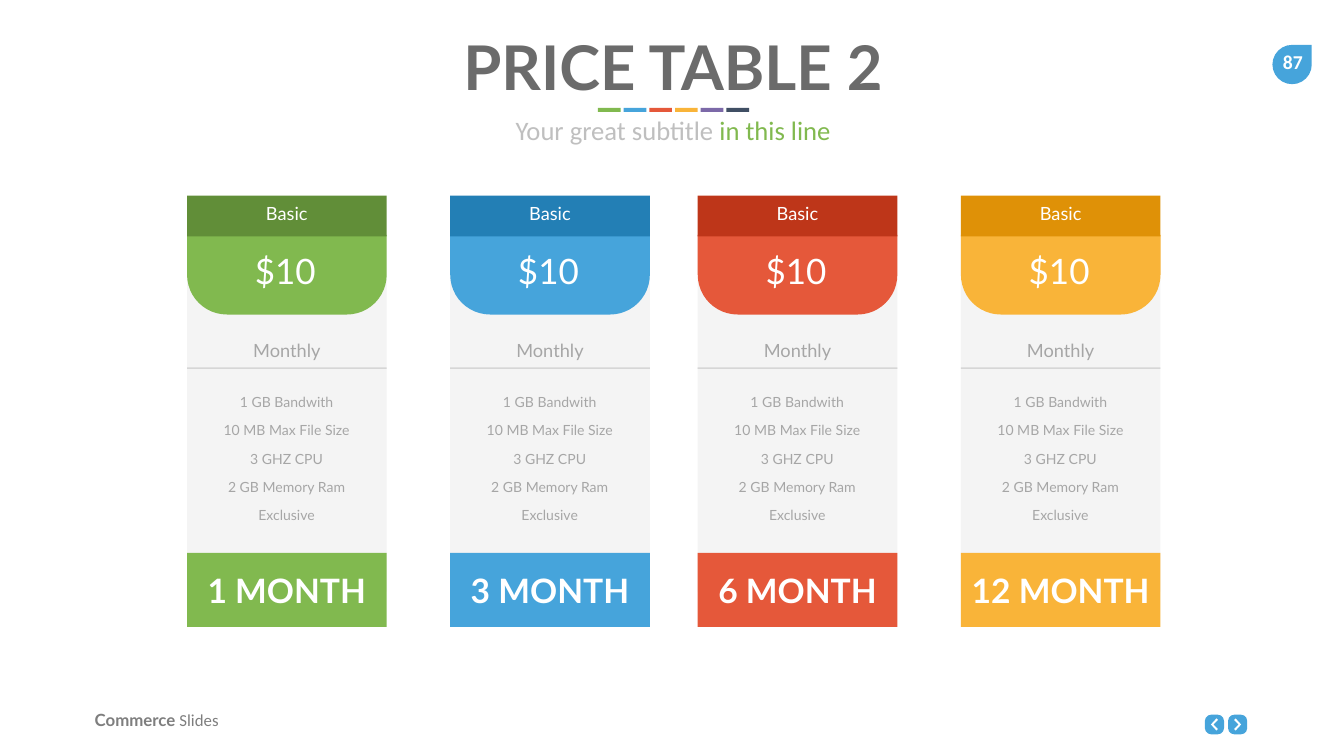
from dataclasses import dataclass

from pptx import Presentation
from pptx import util as u
from pptx.dml.color import RGBColor
from pptx.enum import shapes, text


@dataclass(frozen=True)
class Theme:
    heading_font: str = "Lato"
    body_font: str = "Calibri"
    white: str = "FFFFFF"
    title: str = "6B6B6B"
    subtitle: str = "BFBFBF"
    footer: str = "7E7E7E"
    muted: str = "A6A6A6"
    panel: str = "F4F4F4"
    rule: str = "D6D6D6"
    green: str = "81B94F"
    dark_green: str = "618E38"
    blue: str = "46A4DB"
    dark_blue: str = "237FB5"
    red: str = "E5583A"
    dark_red: str = "BE3619"
    yellow: str = "F9B439"
    dark_yellow: str = "DF9107"
    purple: str = "7C69A8"
    navy: str = "404F64"
    title_size: int = 88
    subtitle_size: int = 38
    price_size: int = 50
    term_size: int = 48
    label_size: int = 26
    feature_size: int = 20
    footer_size: int = 24
    number_size: int = 28


THEME = Theme()
SHAPE = shapes.MSO_SHAPE
FEATURES = ["1 GB Bandwith", "10 MB Max File Size", "3 GHZ CPU", "2 GB Memory Ram", "Exclusive"]
CARD_TOP, CARD_WIDTH, CARD_HEIGHT = 3.88, 3.96, 8.56
PLANS = [
    (3.71, "1 MONTH", THEME.green, THEME.dark_green),
    (8.93, "3 MONTH", THEME.blue, THEME.dark_blue),
    (13.84, "6 MONTH", THEME.red, THEME.dark_red),
    (19.06, "12 MONTH", THEME.yellow, THEME.dark_yellow),
]


def inches(*lengths):
    return [u.Inches(length) for length in lengths]


def paint(shape, color):
    shape.shadow.inherit = False
    shape.fill.solid()
    shape.fill.fore_color.rgb = RGBColor.from_string(color)
    shape.line.fill.background()
    return shape


def add_block(parent, kind, box, color):
    return paint(parent.shapes.add_shape(kind, *inches(*box)), color)


def write(shape, *runs, size, color=THEME.white, font=THEME.heading_font, bold=False,
          align=text.PP_ALIGN.CENTER, anchor=text.MSO_ANCHOR.MIDDLE, inset=(0.05, 0.05), wrap=True):
    frame = shape.text_frame
    frame.auto_size = text.MSO_AUTO_SIZE.NONE
    frame.word_wrap = wrap
    frame.vertical_anchor = anchor
    frame.margin_left = frame.margin_right = u.Inches(inset[0])
    frame.margin_top = frame.margin_bottom = u.Inches(inset[1])
    paragraph = frame.paragraphs[0]
    paragraph.alignment = align
    paragraph.space_before = u.Pt(0)
    for content, changes in runs:
        run = paragraph.add_run()
        run.text = content
        run.font.size = u.Pt(size)
        run.font.name = changes.get("font", font)
        run.font.bold = changes.get("bold", bold)
        run.font.color.rgb = RGBColor.from_string(changes.get("color", color))


def add_label(parent, box, content, **style):
    write(parent.shapes.add_textbox(*inches(*box)), (content, {}), **style)


def place(shape, box):
    shape.left, shape.top, shape.width, shape.height = inches(*box)
    return shape


def build_heading(slide, left, top, width):
    top_style = dict(anchor=text.MSO_ANCHOR.TOP, inset=(0.1, 0.05))
    write(place(slide.shapes.title, (left, top, width, 1.58)), ("PRICE TABLE 2", {}),
          size=THEME.title_size, color=THEME.title, bold=True, **top_style)
    accents = [THEME.green, THEME.blue, THEME.red, THEME.yellow, THEME.purple, THEME.navy]
    for index, color in enumerate(accents):
        add_block(slide, SHAPE.RECTANGLE, (left + 9.96 + 0.51 * index, top + 1.61, 0.45, 0.08), color)
    write(place(slide.placeholders[1], (left, top + 1.67, width, 0.74)),
          ("Your great subtitle ", {}), ("in this line", {"color": THEME.green}),
          size=THEME.subtitle_size, color=THEME.subtitle, font=THEME.body_font, **top_style)


def build_card(slide, left, top, width, height, term, color, dark_color):
    card = slide.shapes.add_group_shape()
    term_height = 1.47
    term_top = top + height - term_height
    add_block(card, SHAPE.RECTANGLE, (left, top + 0.79, width, 7.07), THEME.panel)
    price = add_block(card, SHAPE.ROUND_2_SAME_RECTANGLE, (left, top + 0.78, width, 1.58), color)
    price.adjustments[0] = 0.5
    price.adjustments[1] = 0
    price.rotation = 180
    add_block(card, SHAPE.RECTANGLE, (left, top, width, 0.81), dark_color)
    add_block(card, SHAPE.RECTANGLE, (left, top + 3.41, width, 0.03), THEME.rule)
    term_block = add_block(card, SHAPE.RECTANGLE, (left, term_top, width, term_height), color)
    write(term_block, (term, {}), size=THEME.term_size, bold=True)

    add_label(card, (left + 0.96, top + 0.08, 2.04, 0.56), "Basic", size=THEME.label_size)
    add_label(card, (left + 0.93, top + 1.08, 2.04, 0.81), "$10", size=THEME.price_size)
    add_label(card, (left + 0.96, top + 2.79, 2.04, 0.56), "Monthly",
              size=THEME.label_size, color=THEME.muted)
    for index, feature in enumerate(FEATURES):
        add_label(card, (left + 0.29, top + 3.82 + 0.56 * index, 3.37, 0.56), feature,
                  size=THEME.feature_size, color=THEME.muted)


def build_page_number(slide, left, top):
    add_block(slide, SHAPE.TEAR, (left, top, 0.78, 0.78), THEME.blue)
    add_label(slide, (left - 0.03, top + 0.01, 0.87, 0.67), "87", size=THEME.number_size,
              font=THEME.body_font, bold=True, anchor=text.MSO_ANCHOR.TOP,
              inset=(0.2, 0.1), wrap=False)


def build_arrow_button(slide, left, top, direction):
    width, height = 0.38, 0.39
    button = add_block(slide, SHAPE.ROUNDED_RECTANGLE, (left, top, width, height), THEME.blue)
    button.adjustments[0] = 0.33
    outline = [(0.04, -0.12), (0.07, -0.09), (-0.02, 0), (0.07, 0.09), (0.04, 0.12), (-0.07, 0)]
    points = [inches(left + width / 2 - direction * x, top + height / 2 + y) for x, y in outline]
    builder = slide.shapes.build_freeform(*points[0])
    builder.add_line_segments(points[1:], close=True)
    paint(builder.convert_to_shape(), THEME.white)


def build_footer(slide, left, top):
    brand = slide.shapes.add_textbox(*inches(left, top, 4, 0.5))
    write(brand, ("Commerce ", {"bold": True}), ("Slides", {"font": THEME.body_font}),
          size=THEME.footer_size, color=THEME.footer, align=text.PP_ALIGN.LEFT,
          anchor=text.MSO_ANCHOR.TOP, inset=(0.1, 0.05))
    for offset, direction in ((22.12, -1), (22.58, 1)):
        build_arrow_button(slide, left + offset, top + 0.14, direction)


def main():
    presentation = Presentation()
    presentation.slide_width, presentation.slide_height = inches(26.66, 15)
    slide = presentation.slides.add_slide(presentation.slide_layouts[0])
    build_footer(slide, 1.78, 14.04)
    build_page_number(slide, 25.24, 0.89)
    for left, term, color, dark_color in PLANS:
        build_card(slide, left, CARD_TOP, CARD_WIDTH, CARD_HEIGHT, term, color, dark_color)
    build_heading(slide, 1.9, 0.53, 22.9)
    presentation.save("out.pptx")


if __name__ == "__main__":
    main()
